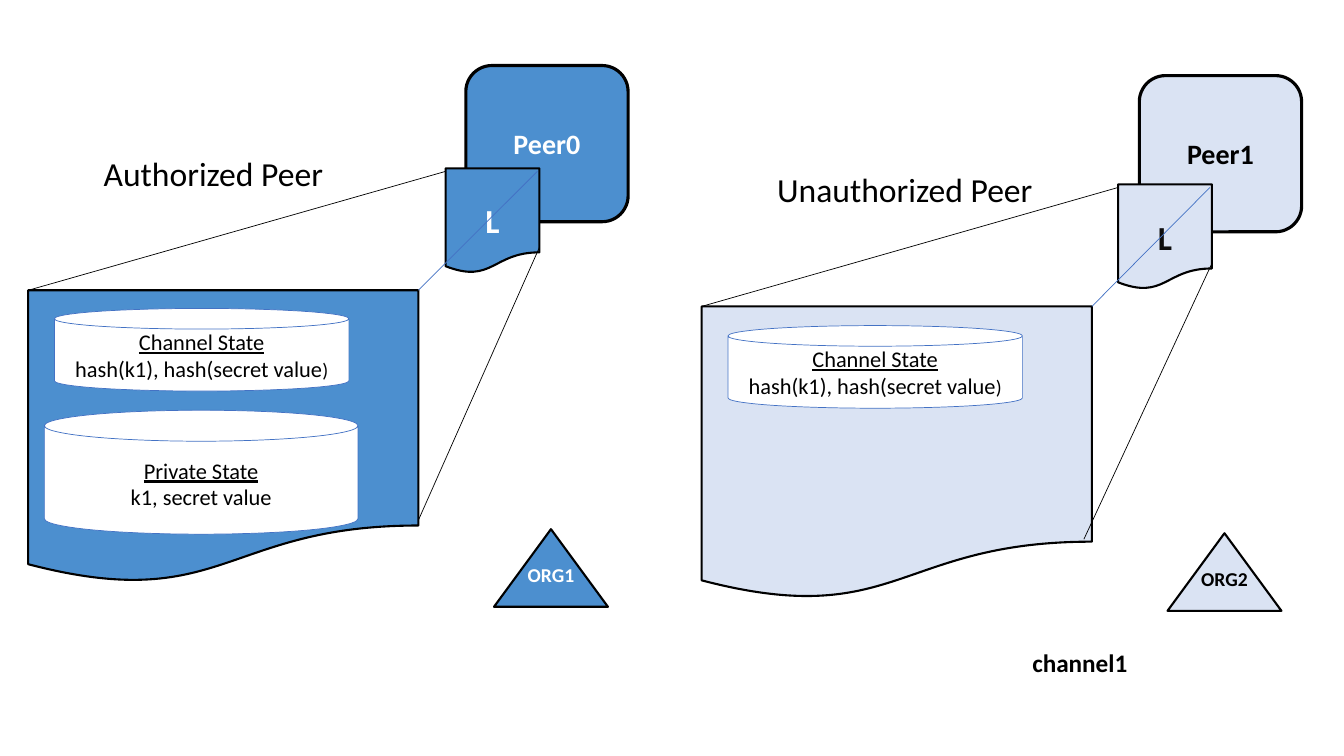
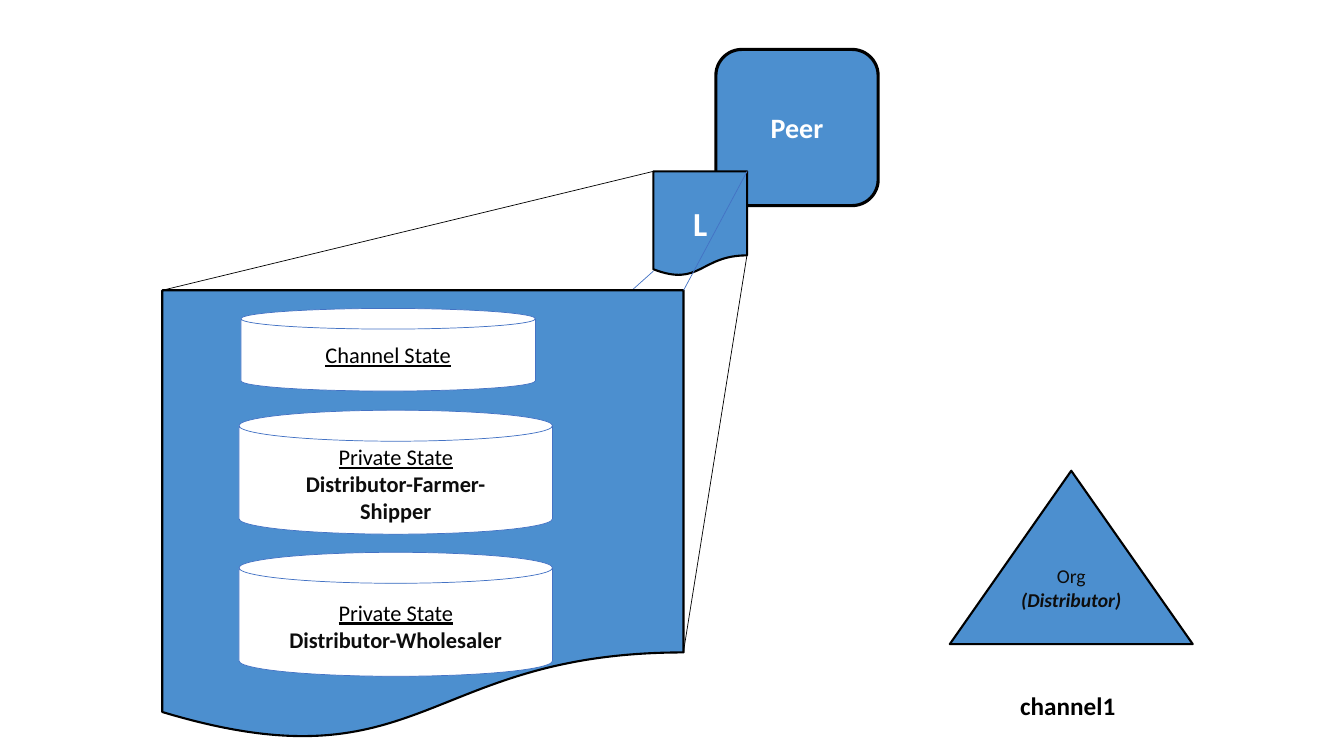
"""Build two slides that show which ledger states each kind of peer holds."""
from dataclasses import dataclass

from lxml.etree import SubElement
from pptx import Presentation
from pptx.dml.color import RGBColor
from pptx.enum.shapes import MSO_CONNECTOR as Link, MSO_SHAPE as Kind
from pptx.enum.text import MSO_ANCHOR as Anchor, MSO_AUTO_SIZE as Fit, PP_ALIGN as Align
from pptx.oxml.ns import qn
from pptx.util import Inches, Pt


@dataclass(frozen=True)
class Theme:
    """Colours, type sizes and line widths shared by the slides."""
    font: str = "Calibri"
    blue: str = "4C8FCF"
    pale: str = "DAE3F3"
    accent: str = "4472C4"
    white: str = "FFFFFF"
    black: str = "000000"
    ink: str = "0D0D0D"
    heading: int = 24
    peer: int = 20
    channel: int = 18
    state: int = 16
    org: int = 14
    thin: float = 0.5
    medium: float = 1.5
    thick: float = 2.25


THEME = Theme()
SLIDE_SIZE = (13.33, 7.5)
PEER_SIZE = (1.61, 1.55)
LEDGER_SIZE = (0.93, 1.04)
CHANNEL_CAN = (2.92, 0.82)
PRIVATE_CAN = (3.11, 1.23)
DOCUMENT_EDGE = 17322 / 21600
INSETS = (0.05, 0.05, 0.05, 0.05)
LEDGER_INSETS = (0.05, 0.25, 0.05, 0.05)
ORG_INSETS = (0.05, 0.05, 0.05, 0.31)
CHANNEL_INSETS = (0.1, 0.05, 0.1, 0.05)
PRIVATE_INSETS = (0.1, 0.12, 0.1, 0.05)

UNDERLINED = {"underline": True}
BOLD_INK = {"bold": True, "color": THEME.ink}
CHANNEL_HEAD = [("Channel State", UNDERLINED)]
PRIVATE_HEAD = [("Private State", UNDERLINED)]
HASHES = [("hash(k1), hash(secret value", {}), (")", {"size": THEME.org})]

AUTHORIZED = {
    "fill": THEME.blue, "color": THEME.white, "ledger_color": THEME.white,
    "sheet": (0.28, 2.88, 3.87, 2.91), "peer": (4.62, 0.65, "Peer0"), "ledger": (4.42, 1.67),
    "cans": [(0.54, 3.06, CHANNEL_CAN, CHANNEL_INSETS, [CHANNEL_HEAD, HASHES]),
             (0.44, 4.07, PRIVATE_CAN, PRIVATE_INSETS,
              [PRIVATE_HEAD, [("k1, secret value", {})]])],
    "drop": 0.03, "inset": 0.02, "lift": 0.05, "foot": (4.15, 5.16),
    "org": (4.9, 5.25, 1.13, 0.77), "org_lines": [[("ORG1", {"bold": True})]],
    "labels": [(0.93, 1.47, 2.96, 0.5, "Authorized Peer", THEME.heading, False)],
}
UNAUTHORIZED = {
    "fill": THEME.pale, "color": THEME.black, "ledger_color": THEME.ink,
    "sheet": (6.96, 3.04, 3.87, 2.91), "peer": (11.3, 0.75, "Peer1"), "ledger": (11.09, 1.83),
    "cans": [(7.22, 3.23, CHANNEL_CAN, CHANNEL_INSETS, [CHANNEL_HEAD, HASHES])],
    "drop": 0.03, "inset": 0.02, "lift": 0.05, "foot": (10.75, 5.35),
    "org": (11.58, 5.29, 1.13, 0.77), "org_lines": [[("ORG2", {"bold": True})]],
    "labels": [(7.61, 1.63, 2.96, 0.5, "Unauthorized Peer", THEME.heading, False),
               (10.14, 6.37, 1.33, 0.4, "channel1", THEME.channel, True)],
}
DISTRIBUTOR = {
    "fill": THEME.blue, "color": THEME.white, "ledger_color": THEME.white,
    "hidden_edge": ((1.61, 7.05), (6.48, 2.69)),
    "sheet": (1.61, 2.88, 5.17, 4.48), "peer": (7.1, 0.49, "Peer"), "ledger": (6.48, 1.7),
    "cans": [(2.39, 3.06, CHANNEL_CAN, CHANNEL_INSETS, [CHANNEL_HEAD]),
             (2.37, 4.07, PRIVATE_CAN, PRIVATE_INSETS,
              [PRIVATE_HEAD, [("Distributor-Farmer-", BOLD_INK)], [("Shipper", BOLD_INK)]]),
             (2.37, 5.48, PRIVATE_CAN, PRIVATE_INSETS,
              [PRIVATE_HEAD, [("Distributor-Wholesaler", BOLD_INK)]])],
    "drop": 0, "inset": 0, "lift": 0.01, "foot": (6.78, 6.46),
    "org": (9.42, 4.67, 2.41, 1.72),
    "org_lines": [[("Org", {"color": THEME.ink})],
                  [("(Distributor)", {**BOLD_INK, "italic": True})]],
    "labels": [(10.02, 6.8, 1.29, 0.4, "channel1", THEME.channel, True)],
}
SLIDES = [[AUTHORIZED, UNAUTHORIZED], [DISTRIBUTOR]]


def style_font(font, size, color, bold=False, italic=False, underline=False):
    """Apply the theme font with the given look."""
    font.name, font.size = THEME.font, Pt(size)
    font.color.rgb = RGBColor.from_string(color)
    font.bold, font.italic, font.underline = bold, italic, underline


def write(frame, lines, size, color, align):
    """Fill a text frame with lines made of (text, look) spans."""
    for index, line in enumerate(lines):
        para = frame.paragraphs[0] if index == 0 else frame.add_paragraph()
        para.alignment = align
        base = {"size": size, "color": color}
        style_font(para.font, **{**base, **line[0][1]})
        for text, look in line:
            span = para.add_run()
            span.text = text
            style_font(span.font, **{**base, **look})


def add_box(page, kind, place, fill, line, width):
    """Add a flat preset shape."""
    box = page.shapes.add_shape(kind, *map(Inches, place))
    box.shadow.inherit = False
    box.fill.solid()
    box.fill.fore_color.rgb = RGBColor.from_string(fill)
    box.line.color.rgb = RGBColor.from_string(line)
    box.line.width = Pt(width)
    return box


def write_centred(box, lines, size, color, insets, wrap=True):
    """Write lines in the middle of a shape."""
    frame = box.text_frame
    frame.word_wrap, frame.vertical_anchor = wrap, Anchor.MIDDLE
    (frame.margin_left, frame.margin_top,
     frame.margin_right, frame.margin_bottom) = map(Inches, insets)
    write(frame, lines, size, color, Align.CENTER)


def add_line(page, start, end, color):
    """Add a thin straight line without a shadow."""
    line = page.shapes.add_connector(Link.STRAIGHT, *map(Inches, (*start, *end)))
    line.line.color.rgb = RGBColor.from_string(color)
    line.line.width = Pt(THEME.thin)
    SubElement(line._element.spPr, qn("a:effectLst"))


def add_label(page, left, top, width, height, text, size, bold):
    """Add a free-standing label."""
    box = page.shapes.add_textbox(*map(Inches, (left, top, width, height)))
    box.text_frame.word_wrap = True
    box.text_frame.auto_size = Fit.SHAPE_TO_FIT_TEXT
    write(box.text_frame, [[(text, {"bold": bold})]], size, THEME.black, Align.LEFT)


def add_projection(page, panel):
    """Join the small ledger to its enlarged sheet."""
    sheet_left, sheet_top, sheet_width, _ = panel["sheet"]
    left, top = panel["ledger"]
    width, height = LEDGER_SIZE
    right, start = left + width, top + panel["drop"]
    edge = top + height * DOCUMENT_EDGE - panel["lift"]
    add_line(page, (left, start), (sheet_left, sheet_top), THEME.black)
    add_line(page, (right - panel["inset"], start),
             (sheet_left + sheet_width, sheet_top), THEME.accent)
    add_line(page, (right, edge), panel["foot"], THEME.black)


def add_panel(page, panel):
    """Draw one peer with its ledger, states and organisation."""
    fill, color = panel["fill"], panel["color"]
    if "hidden_edge" in panel:
        add_line(page, *panel["hidden_edge"], THEME.accent)
    add_box(page, Kind.FLOWCHART_DOCUMENT, panel["sheet"], fill, THEME.black, THEME.medium)
    left, top, name = panel["peer"]
    peer = add_box(page, Kind.ROUNDED_RECTANGLE, (left, top, *PEER_SIZE),
                   fill, THEME.black, THEME.thick)
    write_centred(peer, [[(name, {"bold": True})]], THEME.peer, color, INSETS)
    for left, top, size, insets, lines in panel["cans"]:
        can = add_box(page, Kind.CAN, (left, top, *size), THEME.white, THEME.accent, THEME.thin)
        write_centred(can, lines, THEME.state, THEME.black, insets)
    ledger = add_box(page, Kind.FLOWCHART_DOCUMENT, (*panel["ledger"], *LEDGER_SIZE),
                     fill, THEME.black, THEME.medium)
    write_centred(ledger, [[("L", {"bold": True})]], THEME.heading,
                  panel["ledger_color"], LEDGER_INSETS)
    add_projection(page, panel)
    org = add_box(page, Kind.ISOSCELES_TRIANGLE, panel["org"], fill, THEME.black, THEME.medium)
    write_centred(org, panel["org_lines"], THEME.org, color, ORG_INSETS, wrap=False)
    for label in panel["labels"]:
        add_label(page, *label)


def main():
    """Build and save the deck."""
    deck = Presentation()
    deck.slide_width, deck.slide_height = map(Inches, SLIDE_SIZE)
    for panels in SLIDES:
        page = deck.slides.add_slide(deck.slide_layouts[6])
        for panel in panels:
            add_panel(page, panel)
    deck.save("out.pptx")


main()
